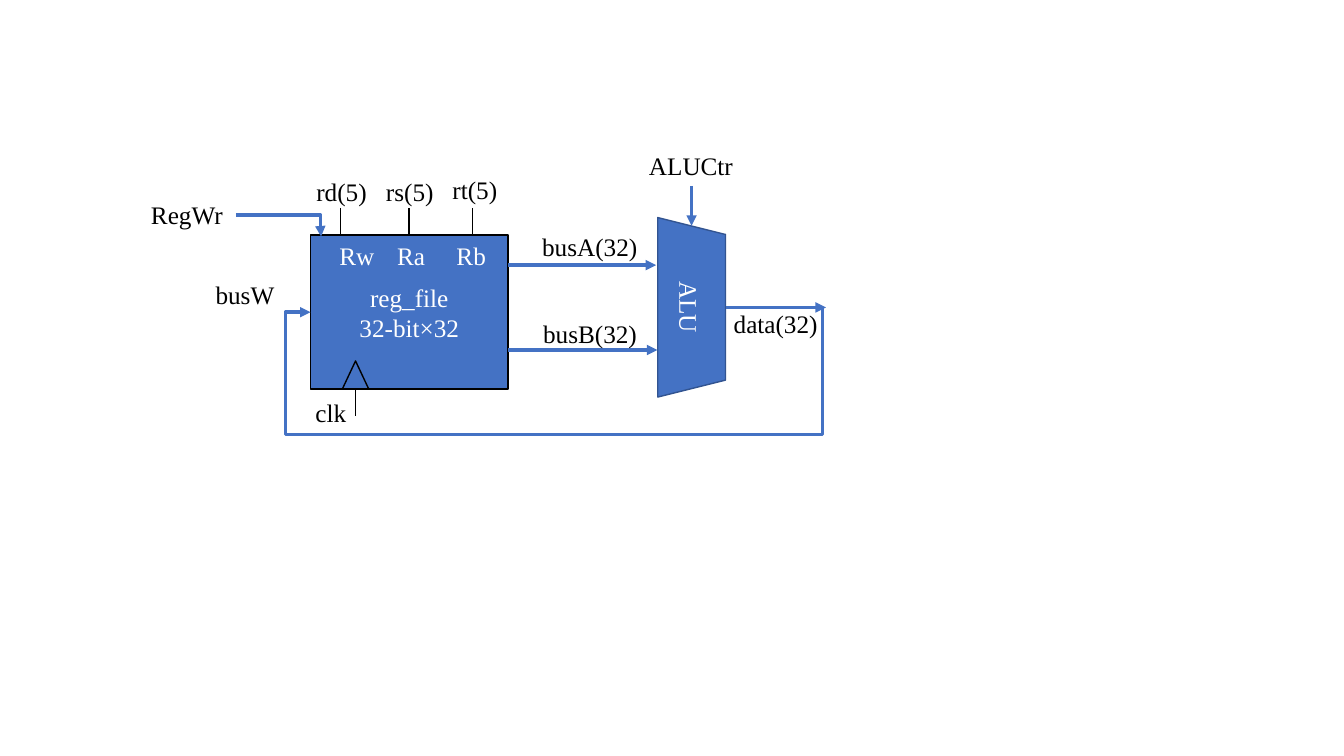
"""Build a slide of a register file and ALU datapath."""
import pptx
import pptx.util
import pptx.dml.color
import pptx.enum.shapes
import pptx.enum.text
import pptx.oxml
import pptx.oxml.ns
from dataclasses import dataclass

Pt = pptx.util.Pt
PRESET = pptx.enum.shapes.MSO_SHAPE
ROUTE = pptx.enum.shapes.MSO_CONNECTOR


@dataclass(frozen=True)
class Theme:
    font: str = "Times New Roman"
    size: float = 18
    blue: str = "4472C4"
    edge: str = "325491"
    ink: str = "000000"
    paper: str = "FFFFFF"
    outline: float = 1
    pin: float = 1.25
    bus: float = 2.5


theme = Theme()
SLIDE = (960, 540)
LABEL_HEIGHT = 29.1

REG_LEFT, REG_TOP, REG_WIDTH, REG_HEIGHT = 221.8, 167.8, 141.1, 110.2
REG_RIGHT, REG_BOTTOM = REG_LEFT + REG_WIDTH, REG_TOP + REG_HEIGHT
PIN_LENGTH = 19.4
CLOCK_X, CLOCK_WIDTH, CLOCK_HEIGHT = 254, 19, 20.2
DATA_Y = 219.6

blocks = [
    (PRESET.RECTANGLE, (REG_LEFT, REG_TOP, REG_WIDTH, REG_HEIGHT), 0,
     theme.blue, theme.ink, ["reg_file", "32-bit×32"]),
    (PRESET.ISOSCELES_TRIANGLE,
     (CLOCK_X - CLOCK_WIDTH / 2, REG_BOTTOM - CLOCK_HEIGHT, CLOCK_WIDTH, CLOCK_HEIGHT), 0,
     None, theme.ink, []),
    (PRESET.TRAPEZOID, (429.9, 195.3, 128.2, 48.4), 90,
     theme.blue, theme.edge, ["ALU"]),
]

address_pins = [243.2, 292.3, 337.6]
pins = [((x, REG_TOP - PIN_LENGTH), (x, REG_TOP)) for x in address_pins]
pins.append(((CLOCK_X, REG_BOTTOM), (CLOCK_X, REG_BOTTOM + PIN_LENGTH)))

buses = [
    ((REG_RIGHT, 189.4), (468.7, 189.4)),
    ((REG_RIGHT, 250), (469.6, 250)),
    ((518.4, DATA_Y), (590, DATA_Y)),
    ((494, 132.7), (494, 161.3)),
]

bent_buses = [
    ("bentConnector3", (168.5, 153.5), (229.4, 168.9), [("x", 228.9)]),
    ("bentConnector5", (587.1, DATA_Y), (REG_LEFT, 223),
     [("x", 587.6), ("y", 310.4), ("x", 203.9)]),
]

labels = [
    ("busA(32)", 380.2, 162, 83.5, theme.ink),
    ("busB(32)", 380.9, 223.5, 82.1, theme.ink),
    ("Rw", 235.4, REG_TOP, 39.6, theme.paper),
    ("Ra", 276.5, REG_TOP, 34.6, theme.paper),
    ("Rb", 319, REG_TOP, 36, theme.paper),
    ("clk", 218.2, 280.4, 36.7, theme.ink),
    ("rd(5)", 218.9, 122.4, 51.1, theme.ink),
    ("rs(5)", 268.6, 122.4, 49, theme.ink),
    ("rt(5)", 316.1, 121, 46.8, theme.ink),
    ("RegWr", 100.8, 139, 67.7, theme.ink),
    ("busW", 146.9, 195.8, 59, theme.ink),
    ("data(32)", 517, 216.9, 74.9, theme.ink),
    ("ALUCtr", 456.5, 103.5, 74.9, theme.ink),
]


def rgb(color):
    return pptx.dml.color.RGBColor.from_string(color)


def set_line(line, color, width):
    line.color.rgb = rgb(color)
    line.width = Pt(width)


def write(frame, lines, color, align):
    for index, words in enumerate(lines):
        paragraph = frame.paragraphs[0] if index == 0 else frame.add_paragraph()
        paragraph.alignment = align
        run = paragraph.add_run()
        run.text = words
        run.font.name = theme.font
        run.font.size = Pt(theme.size)
        run.font.color.rgb = rgb(color)


def add_block(shapes, preset, box, turn, fill, edge, lines):
    block = shapes.add_shape(preset, *map(Pt, box))
    block.rotation = turn
    block.shadow.inherit = False
    if fill:
        block.fill.solid()
        block.fill.fore_color.rgb = rgb(fill)
    else:
        block.fill.background()
    set_line(block.line, edge, theme.outline)
    block.text_frame.vertical_anchor = pptx.enum.text.MSO_ANCHOR.MIDDLE
    write(block.text_frame, lines, theme.paper, pptx.enum.text.PP_ALIGN.CENTER)


def add_wire(shapes, begin, end, color, width, route=ROUTE.STRAIGHT, arrow=True):
    wire = shapes.add_connector(route, *map(Pt, begin + end))
    set_line(wire.line, color, width)
    if arrow:
        tip = pptx.oxml.ns.qn("a:tailEnd")
        wire.line._get_or_add_ln().makeelement(tip)
        pptx.oxml.xmlchemy.OxmlElement("a:tailEnd")
        head = pptx.oxml.xmlchemy.OxmlElement("a:tailEnd")
        head.set("type", "triangle")
        wire.line._get_or_add_ln().append(head)
    wire._element.spPr.append(pptx.oxml.xmlchemy.OxmlElement("a:effectLst"))
    return wire


def add_bent_bus(shapes, preset, begin, end, bends):
    bus = add_wire(shapes, begin, end, theme.blue, theme.bus, ROUTE.ELBOW)
    geometry = bus._element.spPr.find(pptx.oxml.ns.qn("a:prstGeom"))
    geometry.set("prst", preset)
    guides = geometry.get_or_add_avLst()
    for number, (axis, place) in enumerate(bends, 1):
        side = "xy".index(axis)
        share = (place - begin[side]) / (end[side] - begin[side])
        guide = pptx.oxml.xmlchemy.OxmlElement("a:gd")
        guide.set("name", f"adj{number}")
        guide.set("fmla", f"val {round(share * 100000)}")
        guides.append(guide)


def add_label(shapes, words, left, top, width, color):
    frame = shapes.add_textbox(*map(Pt, (left, top, width, LABEL_HEIGHT))).text_frame
    frame.word_wrap = False
    frame.auto_size = pptx.enum.text.MSO_AUTO_SIZE.SHAPE_TO_FIT_TEXT
    write(frame, [words], color, pptx.enum.text.PP_ALIGN.LEFT)


deck = pptx.Presentation()
deck.slide_width, deck.slide_height = map(Pt, SLIDE)
datapath = deck.slides.add_slide(deck.slide_layouts[6]).shapes
for block in blocks:
    add_block(datapath, *block)
for begin, end in pins:
    add_wire(datapath, begin, end, theme.ink, theme.pin, arrow=False)
for begin, end in buses:
    add_wire(datapath, begin, end, theme.blue, theme.bus)
for bent_bus in bent_buses:
    add_bent_bus(datapath, *bent_bus)
for label in labels:
    add_label(datapath, *label)
deck.save("out.pptx")
